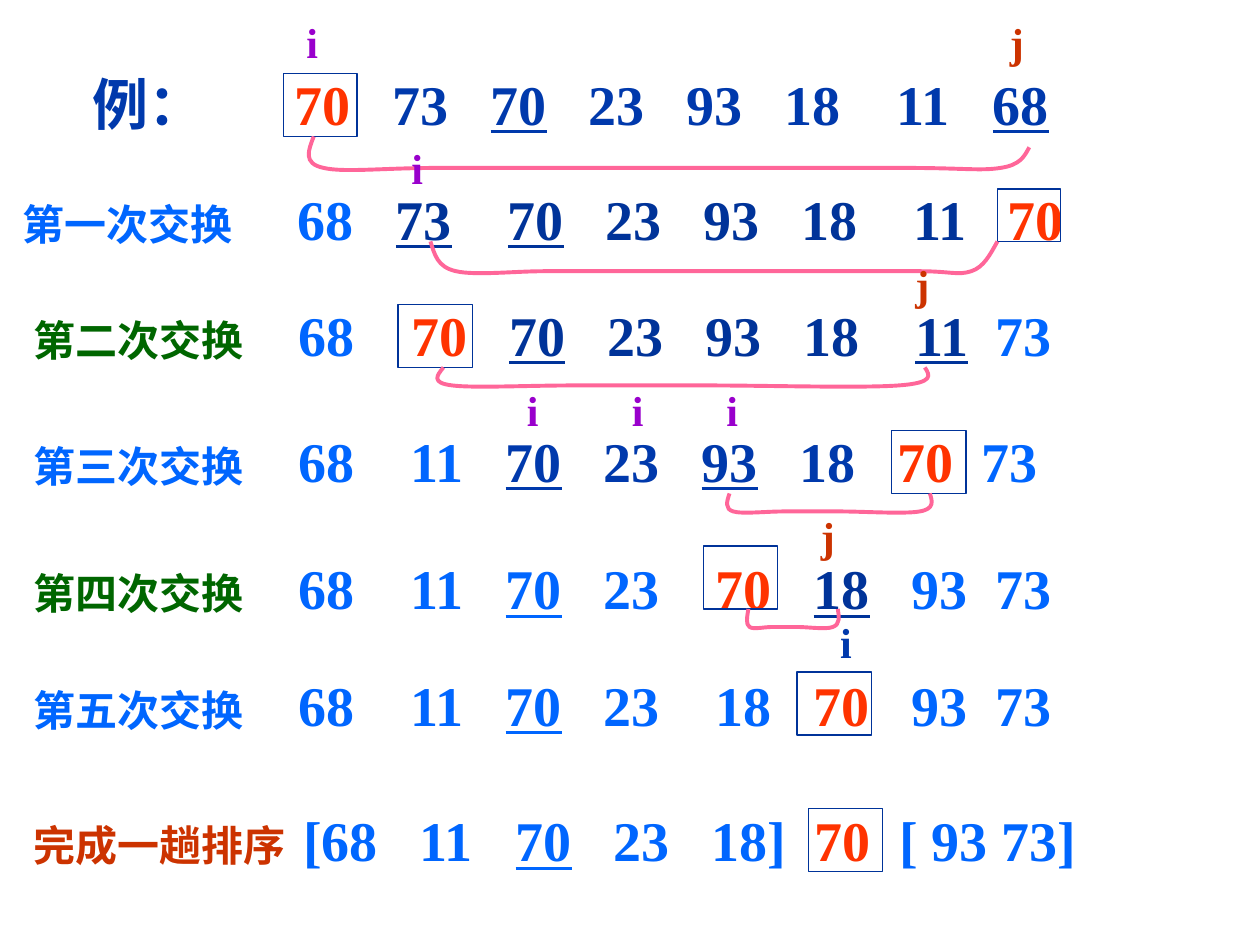
from dataclasses import dataclass

from lxml.etree import SubElement
from pptx import Presentation
from pptx.dml.color import RGBColor
from pptx.enum.shapes import MSO_SHAPE
from pptx.enum.text import MSO_ANCHOR, MSO_AUTO_SIZE
from pptx.oxml.ns import qn
from pptx.util import Pt


@dataclass(frozen=True)
class Theme:
    """Colours, type sizes and line widths of the slide."""
    font: str = "Times New Roman"
    value_size: int = 32
    label_size: int = 24
    inset: float = 7.2
    frame_width: float = 0.75
    curve_width: float = 2.25
    navy: str = "003399"
    royal: str = "0039AC"
    blue: str = "0066FF"
    green: str = "006600"
    rust: str = "CC3300"
    purple: str = "9900CC"
    pivot: str = "FF3300"
    curve: str = "FF6699"


THEME = Theme()


@dataclass(frozen=True)
class Pass:
    """One row of the sort: its label, values and pivot frame."""
    label: str
    label_x: float
    label_color: str
    box: tuple
    values: tuple
    value_xs: tuple
    pivot: int
    frame: tuple
    unsorted: range = range(0)
    unsorted_color: str = THEME.navy
    marked: tuple = (2,)
    label_size: int = THEME.label_size


SETTLED = (170.6, 234.6, 289.1, 345.1)
LATE = SETTLED + (409.1, 465.1, 521.1, 569.1)

PASSES = [
    Pass("例：", 53, THEME.royal, (24, 36, 666, 84),
         ("70", "73", "70", "23", "93", "18", "11", "68"),
         (168.2, 224.3, 280.4, 336.4, 392.4, 448.5, 512.5, 567.4),
         0, (162, 42, 42, 36), range(1, 8), THEME.royal, (2, 7), THEME.value_size),
    Pass("第一次交换", 13.2, THEME.blue, (6, 102, 678, 45),
         ("68", "73", "70", "23", "93", "18", "11", "70"),
         (170, 226.3, 290.3, 346.3, 402.3, 458.3, 522.3, 576),
         7, (570, 108, 36, 30), range(1, 7), marked=(1, 2)),
    Pass("第二次交换", 19.2, THEME.green, (6, 168, 624, 84),
         ("68", "70", "70", "23", "93", "18", "11", "73"),
         (170.6, 235, 291, 347, 403, 459, 523.2, 569.2),
         1, (227.5, 174, 42.5, 36), range(2, 7), marked=(2, 6)),
    Pass("第三次交换", 19.2, THEME.blue, (6, 240, 624, 84),
         ("68", "11", "70", "23", "93", "18", "70", "73"),
         SETTLED + (401.1, 457.1, 513.1, 561.1),
         6, (509.5, 246, 42.5, 36), range(2, 6), THEME.royal, (2, 4)),
    Pass("第四次交换", 19.2, THEME.green, (6, 313, 624, 84),
         ("68", "11", "70", "23", "70", "18", "93", "73"), LATE,
         4, (401.8, 312, 42.5, 36), range(5, 6), marked=(2, 5)),
    Pass("第五次交换", 19.2, THEME.blue, (6, 379.5, 624, 84),
         ("68", "11", "70", "23", "18", "70", "93", "73"), LATE,
         5, (455.5, 384, 42.5, 36)),
    Pass("完成一趟排序", 19.2, THEME.rust, (6, 457, 642, 45),
         ("[68", "11", "70", "23", "18]", "70", "[ 93 73]"),
         (173.4, 240.1, 294.8, 350.8, 406.8, 465.8, 514),
         5, (462, 462, 42.5, 36)),
]

POINTERS = [
    ("i", THEME.purple, (168, 6, 24, 36)),
    ("j", THEME.rust, (570, 6, 24, 36)),
    ("i", THEME.purple, (228, 78, 24, 36)),
    ("j", THEME.rust, (516, 144, 36, 36)),
    ("i", THEME.purple, (294, 216, 24, 36)),
    ("i", THEME.purple, (354, 216, 24, 36)),
    ("i", THEME.purple, (408, 216, 24, 36)),
    ("j", THEME.rust, (462, 288, 36, 36)),
    ("i", THEME.royal, (473, 349, 24, 36)),
]

SWAPS = [
    (78, 96, 84.2, (179.3, 176.4, 172.8, 185, 196.6, 219.6, 249.8, 280.8, 325.4, 370.1,
                    414.7, 483.8, 517, 550.8, 560.2, 571.7, 583.2, 585.4, 588.2)),
    (138, 155, 138, (246, 248.4, 249.8, 260.6, 271.4, 294.5, 311, 327.6, 338.4, 360.7, 383,
                     417.6, 445.7, 473, 506.9, 524.9, 543.6, 547.2, 555.1, 562.3, 565.9, 570)),
    (210, 220.3, 210, (253.4, 249.8, 246, 258.5, 270.7, 302.4, 326.9, 351.4, 374.4, 405.4,
                       436.3, 493.2, 513.4, 534.2, 531.4, 528.5)),
    (282, 292.3, 282, (416.9, 415.4, 414, 419, 424.1, 437.8, 447.8, 457.9, 467.3, 480.2,
                       493.2, 517, 525.6, 534.2, 532.8, 531.4)),
    (348, 358.3, 348, (427.7, 427, 426, 428.4, 430.6, 436.3, 441.4, 445.7, 450, 455.8,
                       461.5, 472.3, 475.9, 480.2, 479.5, 478.8)),
]
DIP = (0, 0.43, 0.86, 1, 1.15)


def add_text_line(slide, box):
    """Add a text box and return its empty paragraph."""
    frame = slide.shapes.add_textbox(*map(Pt, box)).text_frame
    frame.word_wrap = True
    frame.auto_size = MSO_AUTO_SIZE.SHAPE_TO_FIT_TEXT
    frame.vertical_anchor = MSO_ANCHOR.TOP
    frame.margin_left = frame.margin_right = Pt(THEME.inset)
    return frame.paragraphs[0]


def add_run(paragraph, text, size, color, underline=False):
    """Add one bold run to the paragraph."""
    run = paragraph.add_run()
    run.text = text
    run.font.name = THEME.font
    run.font.size = Pt(size)
    run.font.bold = True
    run.font.underline = underline
    run.font.color.rgb = RGBColor.from_string(color)


def set_tabs(paragraph, positions):
    """Give the paragraph left tab stops at the positions."""
    stops = SubElement(paragraph._p.get_or_add_pPr(), qn("a:tabLst"))
    for position in positions:
        SubElement(stops, qn("a:tab"), pos=str(Pt(position)), algn="l")


def value_color(row, index):
    """Return the colour of the value at this index of the row."""
    if index == row.pivot:
        return THEME.pivot
    return row.unsorted_color if index in row.unsorted else THEME.blue


def add_pass(slide, row):
    """Place the label, values and pivot frame of one row."""
    line = add_text_line(slide, row.box)
    text_left = row.box[0] + THEME.inset
    indented = row.label_x > text_left
    stops = ((row.label_x,) if indented else ()) + row.value_xs
    set_tabs(line, [x - text_left for x in stops])
    add_run(line, ("\t" if indented else "") + row.label, row.label_size, row.label_color)
    for index, value in enumerate(row.values):
        color = value_color(row, index)
        add_run(line, "\t", THEME.value_size, color)
        add_run(line, value, THEME.value_size, color, index in row.marked)
    pivot_frame = slide.shapes.add_shape(MSO_SHAPE.RECTANGLE, *map(Pt, row.frame))
    pivot_frame.shadow.inherit = False
    pivot_frame.fill.background()
    pivot_frame.line.color.rgb = RGBColor.from_string(THEME.navy)
    pivot_frame.line.width = Pt(THEME.frame_width)


def add_pointer(slide, name, color, box):
    """Place an index letter in its box."""
    add_run(add_text_line(slide, box), name, THEME.label_size, color)


def add_swap(slide, start_y, flat_y, end_y, xs):
    """Draw the curve under two swapped values."""
    falling = [start_y + (flat_y - start_y) * part for part in DIP]
    rising = [end_y + (flat_y - end_y) * part for part in reversed(DIP)]
    ys = falling + [flat_y] * (len(xs) - 2 * len(DIP)) + rising
    points = [(Pt(x), Pt(y)) for x, y in zip(xs, ys)]
    builder = slide.shapes.build_freeform(*points[0])
    builder.add_line_segments(points[1:], close=False)
    swap = builder.convert_to_shape()
    segments = list(swap._element.iter(qn("a:lnTo")))
    for first in range(0, len(segments), 3):
        bend = SubElement(segments[first].getparent(), qn("a:cubicBezTo"))
        for segment in segments[first:first + 3]:
            bend.append(segment[0])
            segment.getparent().remove(segment)
    swap.shadow.inherit = False
    swap.fill.background()
    swap.line.color.rgb = RGBColor.from_string(THEME.curve)
    swap.line.width = Pt(THEME.curve_width)


def main():
    """Build and save the slide."""
    deck = Presentation()
    deck.slide_width, deck.slide_height = Pt(720), Pt(540)
    slide = deck.slides.add_slide(deck.slide_layouts[6])
    for row in PASSES:
        add_pass(slide, row)
    for swap in SWAPS:
        add_swap(slide, *swap)
    for pointer in POINTERS:
        add_pointer(slide, *pointer)
    deck.save("out.pptx")


if __name__ == "__main__":
    main()
